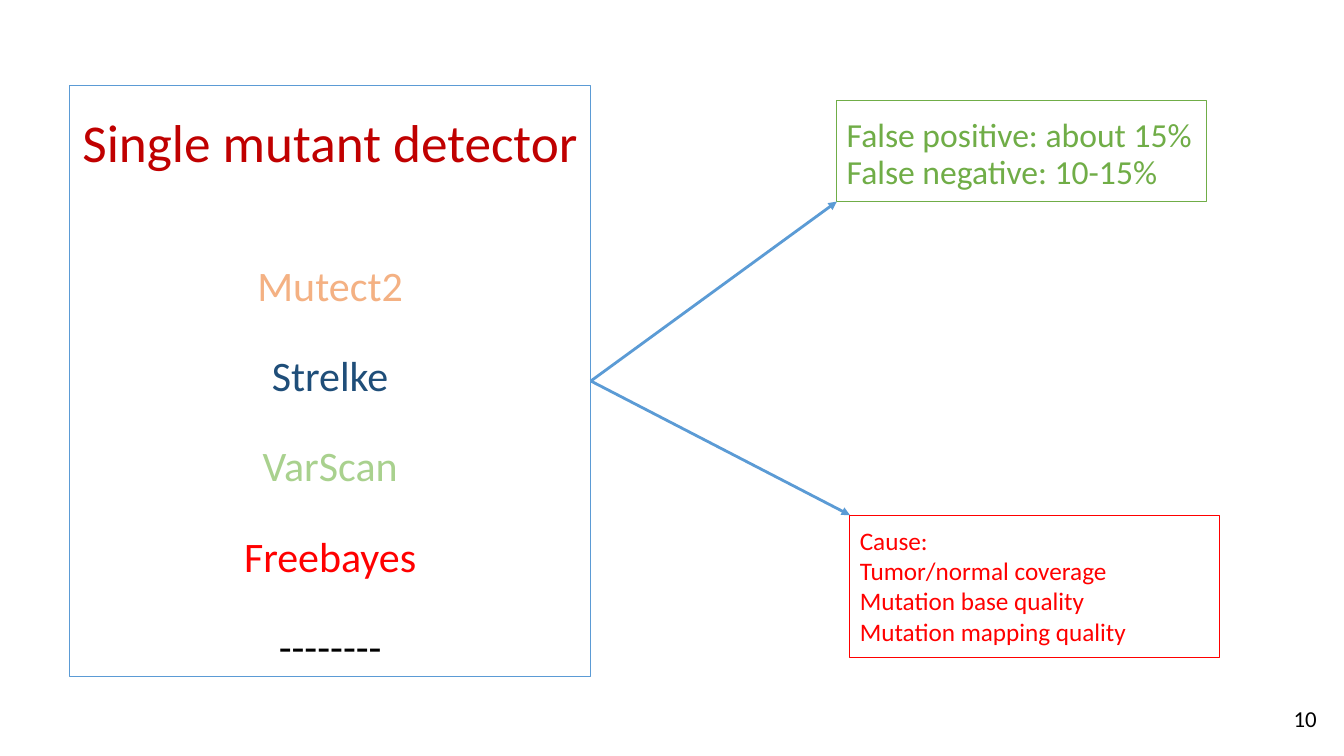
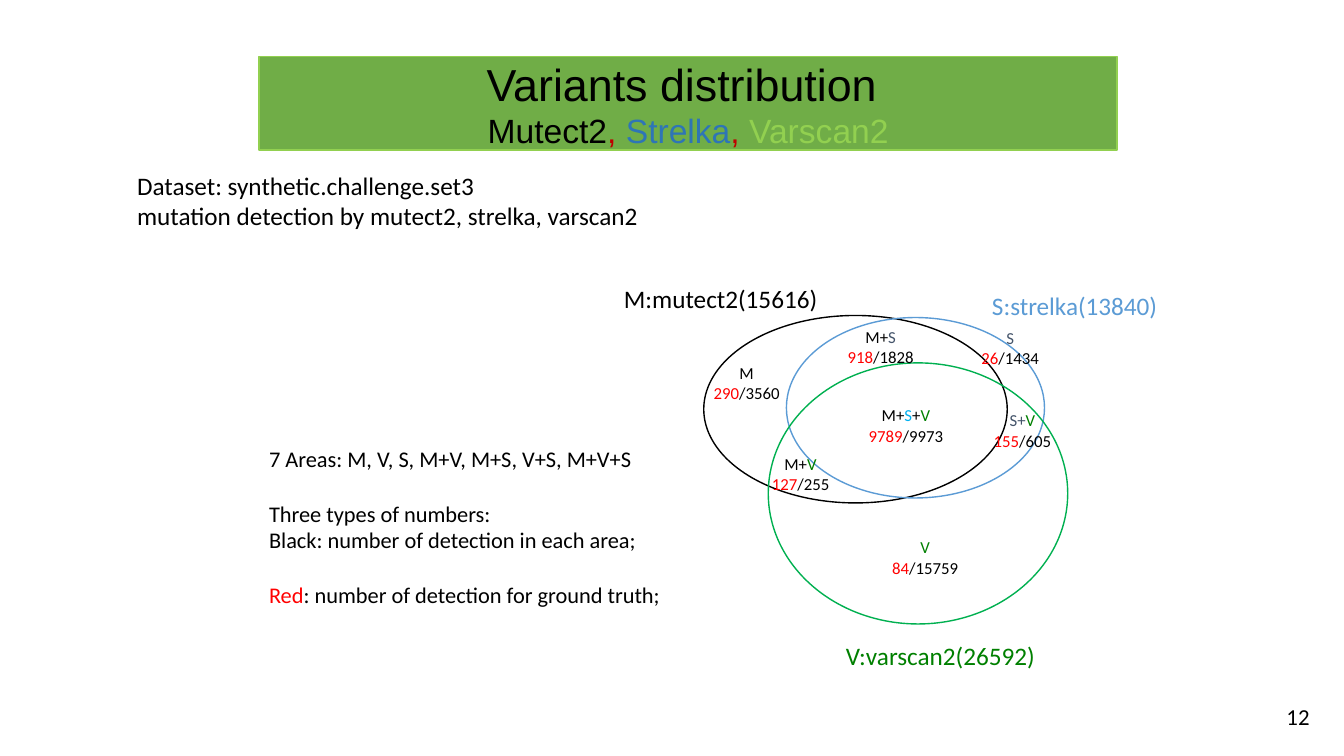
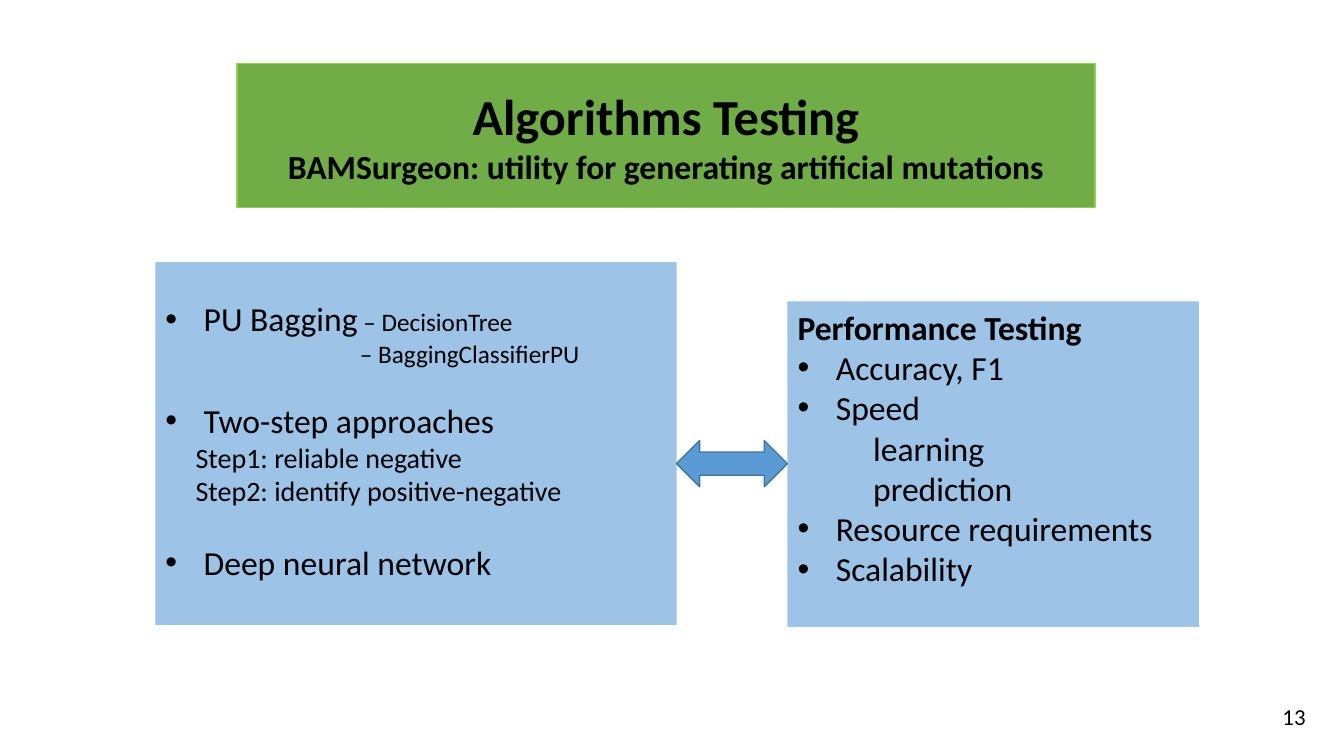
from dataclasses import dataclass
from typing import Optional, Sequence

from lxml.etree import SubElement
from pptx import Presentation
from pptx.dml.color import RGBColor
from pptx.enum.shapes import MSO_CONNECTOR, MSO_SHAPE
from pptx.enum.text import MSO_ANCHOR, MSO_AUTO_SIZE, PP_ALIGN
from pptx.oxml.ns import qn
from pptx.util import Inches, Pt

BLACK = RGBColor(0x00, 0x00, 0x00)
WHITE = RGBColor(0xFF, 0xFF, 0xFF)
RED = RGBColor(0xFF, 0x00, 0x00)
DARK_RED = RGBColor(0xC0, 0x00, 0x00)
BLUE = RGBColor(0x5B, 0x9B, 0xD5)
LIGHT_BLUE = RGBColor(0x9D, 0xC3, 0xE6)
MEDIUM_BLUE = RGBColor(0x2E, 0x75, 0xB6)
EDGE_BLUE = RGBColor(0x43, 0x73, 0x9E)
NAVY = RGBColor(0x1F, 0x4E, 0x79)
SKY = RGBColor(0x00, 0xB0, 0xF0)
SLATE = RGBColor(0x44, 0x54, 0x6A)
ORANGE = RGBColor(0xF4, 0xB1, 0x83)
GREEN = RGBColor(0x70, 0xAD, 0x47)
LIGHT_GREEN = RGBColor(0xA9, 0xD1, 0x8E)
LIME = RGBColor(0x92, 0xD0, 0x50)
EMERALD = RGBColor(0x00, 0xB0, 0x50)
DARK_GREEN = RGBColor(0x00, 0x80, 0x00)

CENTER = PP_ALIGN.CENTER
CONTENT_LAYOUT, TWO_CONTENT_LAYOUT = 1, 3
BULLET_INDENT = 0.38


@dataclass(frozen=True)
class Span:
    text: str
    size: float = 18
    color: RGBColor = BLACK
    bold: bool = False
    font: str = "Calibri"


@dataclass(frozen=True)
class Para:
    spans: Sequence[Span]
    align: PP_ALIGN = PP_ALIGN.LEFT
    before: float = 0
    spacing: float = 1
    indent: float = 0
    bullet: bool = False


@dataclass(frozen=True)
class Place:
    left: float
    top: float
    width: float
    height: float

    def lengths(self) -> tuple:
        return tuple(Inches(v) for v in (self.left, self.top, self.width, self.height))


@dataclass(frozen=True)
class Region:
    """A labelled area of the Venn diagram with its true and total counts."""
    place: Place
    sets: Sequence[tuple]
    true_count: str
    total: str


def line_of(text: str, size: float = 18, color: RGBColor = BLACK, **layout) -> Para:
    return Para([Span(text, size, color)], **layout)


def bullet(*spans: Span, before: float = 0) -> Para:
    return Para(spans, before=before, indent=BULLET_INDENT, bullet=True)


def write(shape, paras: Sequence[Para], anchor=MSO_ANCHOR.TOP, wrap: bool = True,
          margin_y: float = 0.05, margin_top: Optional[float] = None) -> None:
    frame = shape.text_frame
    frame.auto_size = MSO_AUTO_SIZE.NONE
    frame.word_wrap = wrap
    frame.vertical_anchor = anchor
    frame.margin_left = frame.margin_right = Inches(0.1)
    frame.margin_top = Inches(margin_y if margin_top is None else margin_top)
    frame.margin_bottom = Inches(margin_y)
    for index, para in enumerate(paras):
        paragraph = frame.add_paragraph() if index else frame.paragraphs[0]
        paragraph.alignment = para.align
        paragraph.line_spacing = para.spacing
        paragraph.space_before = Pt(para.before)
        paragraph.space_after = Pt(0)
        properties = paragraph._p.get_or_add_pPr()
        properties.set("marL", str(Inches(para.indent)))
        properties.set("indent", str(-Inches(para.indent) if para.bullet else 0))
        if para.bullet:
            SubElement(properties, qn("a:buFont")).set("typeface", "Arial")
            SubElement(properties, qn("a:buChar")).set("char", "•")
        else:
            SubElement(properties, qn("a:buNone"))
        for span in para.spans:
            run = paragraph.add_run()
            run.text = span.text
            run.font.name = span.font
            run.font.size = Pt(span.size)
            run.font.bold = span.bold
            run.font.color.rgb = span.color


def paint(shape, fill: Optional[RGBColor] = None, line: Optional[RGBColor] = None,
          weight: float = 1) -> None:
    shape.shadow.inherit = False
    if fill is None:
        shape.fill.background()
    else:
        shape.fill.solid()
        shape.fill.fore_color.rgb = fill
    if line is None:
        shape.line.fill.background()
    else:
        shape.line.color.rgb = line
        shape.line.width = Pt(weight)


def move(shape, place: Place) -> None:
    shape.left, shape.top, shape.width, shape.height = place.lengths()


def add_figure(page, kind: MSO_SHAPE, place: Place, **look):
    shape = page.shapes.add_shape(kind, *place.lengths())
    paint(shape, **look)
    return shape


def add_text(page, place: Place, paras: Sequence[Para], wrap: bool = True) -> None:
    write(page.shapes.add_textbox(*place.lengths()), paras, wrap=wrap)


def add_body(page, index: int, place: Place, paras: Sequence[Para],
             fill: Optional[RGBColor] = None, line: Optional[RGBColor] = None, **frame):
    body = page.placeholders[index]
    move(body, place)
    paint(body, fill, line, 0.75)
    write(body, paras, **frame)
    return body


def add_title_band(page, place: Place, paras: Sequence[Para]) -> None:
    title = page.shapes.title
    move(title, place)
    paint(title, GREEN, LIME)
    write(title, paras, MSO_ANCHOR.MIDDLE)


def add_page_number(page, number: int, left: float, top: float) -> None:
    add_text(page, Place(left, top, 0.53, 0.35), [line_of(str(number), 16.3, align=CENTER)])


def add_arrow(page, source, end_x: float, end_y: float) -> None:
    """Draw an arrow from the middle of the source's right side."""
    arrow = page.shapes.add_connector(MSO_CONNECTOR.STRAIGHT, 0, 0, Inches(end_x), Inches(end_y))
    arrow.begin_connect(source, 3)
    arrow.line.color.rgb = BLUE
    arrow.line.width = Pt(2)
    SubElement(arrow.line._get_or_add_ln(), qn("a:tailEnd")).set("type", "triangle")
    SubElement(arrow._element.spPr, qn("a:effectLst"))


def build_detector_page(deck) -> None:
    page = deck.slides.add_slide(deck.slide_layouts[CONTENT_LAYOUT])
    title = page.shapes.title
    move(title, Place(0.69, 1.04, 5.17, 0.8))
    write(title, [line_of("Single mutant detector", 38, DARK_RED, align=CENTER, spacing=0.9)],
          MSO_ANCHOR.MIDDLE)

    detectors = [("Mutect2", ORANGE), ("Strelke", NAVY), ("VarScan", LIGHT_GREEN),
                 ("Freebayes", RED), ("--------", BLACK)]
    detector_box = add_body(
        page, 1, Place(0.69, 0.85, 5.17, 5.86),
        [line_of(name, 30, color, align=CENTER, spacing=0.9, before=32)
         for name, color in detectors],
        line=BLUE, anchor=MSO_ANCHOR.BOTTOM)

    rates = add_figure(page, MSO_SHAPE.RECTANGLE, Place(8.3, 1, 3.67, 1),
                       fill=WHITE, line=GREEN, weight=0.75)
    write(rates, [line_of(text, 24, GREEN, spacing=0.9)
                  for text in ("False positive: about 15%", "False negative: 10-15%")],
          MSO_ANCHOR.BOTTOM, margin_y=0.1)

    causes = add_figure(page, MSO_SHAPE.RECTANGLE, Place(8.43, 5.11, 3.67, 1.41),
                        line=RED, weight=0.75)
    write(causes, [line_of(text, 18, RED)
                   for text in ("Cause:", "Tumor/normal coverage", "Mutation base quality",
                                "Mutation mapping quality")], margin_y=0.1)

    add_arrow(page, detector_box, 8.3, 2)
    add_arrow(page, detector_box, 8.43, 5.11)
    add_page_number(page, 10, 12.68, 6.94)


def build_distribution_page(deck) -> None:
    page = deck.slides.add_slide(deck.slide_layouts[CONTENT_LAYOUT])
    tools = [("Mutect2", BLACK), (", ", DARK_RED), ("Strelka", MEDIUM_BLUE),
             (", ", DARK_RED), ("Varscan2", LIME)]
    add_title_band(page, Place(2.57, 0.56, 8.51, 0.93), [
        Para([Span("Variants distribution ", 32, font="Arial")], CENTER),
        Para([Span(text, 24, color, font="Arial") for text, color in tools], CENTER)])
    add_body(page, 1, Place(1.26, 1.64, 6.15, 0.71), [
        line_of("Dataset: synthetic.challenge.set3"),
        line_of("mutation detection by mutect2, strelka, varscan2")])

    for place, color in ((Place(6.98, 3.13, 3.01, 1.86), BLACK),
                         (Place(7.8, 3.15, 2.56, 1.79), BLUE),
                         (Place(7.62, 3.6, 2.97, 2.59), EMERALD)):
        add_figure(page, MSO_SHAPE.OVAL, place, line=color)

    mutect, varscan = ("M", BLACK), ("V", DARK_GREEN)
    regions = [
        Region(Place(6.97, 3.55, 0.87, 0.5), [mutect], "290", "3560"),
        Region(Place(7.55, 4.45, 0.78, 0.5), [("M+", BLACK), varscan], "127", "255"),
        Region(Place(8.74, 5.28, 0.87, 0.5), [varscan], "84", "15759"),
        Region(Place(9.63, 3.2, 0.78, 0.5), [("S", SLATE)], "26", "1434"),
        Region(Place(8.3, 3.19, 0.87, 0.5), [("M+", BLACK), ("S", SLATE)], "918", "1828"),
        Region(Place(9.75, 4.02, 0.78, 0.5), [("S+", SLATE), varscan], "155", "605"),
        Region(Place(8.51, 3.97, 0.95, 0.5),
               [("M+", BLACK), ("S", SKY), ("+", BLACK), varscan], "9789", "9973"),
    ]
    for region in regions:
        counts = [Span(region.true_count, 12, RED), Span(f"/{region.total}", 12)]
        names = [Span(text, 12, color) for text, color in region.sets]
        add_text(page, region.place, [Para(names, CENTER), Para(counts, CENTER)], wrap=False)

    for text, color, place in (("M:mutect2(15616)", BLACK, Place(6.09, 2.76, 2.25, 0.4)),
                               ("S:strelka(13840)", BLUE, Place(9.74, 2.83, 2.05, 0.4)),
                               ("V:varscan2(26592)", DARK_GREEN, Place(8.29, 6.3, 2.32, 0.4))):
        add_text(page, place, [line_of(text, color=color)])

    add_text(page, Place(2.57, 4.37, 4.13, 1.72), [
        line_of("7 Areas: M, V, S, M+V, M+S, V+S, M+V+S", 16),
        line_of("Three types of numbers:", 16, before=19.5),
        line_of("Black: number of detection in each area;", 16),
        Para([Span("Red", 16, RED), Span(": number of detection for ground truth;", 16)],
             before=19.5)])
    add_page_number(page, 12, 12.61, 6.92)


def build_testing_page(deck) -> None:
    page = deck.slides.add_slide(deck.slide_layouts[TWO_CONTENT_LAYOUT])
    add_title_band(page, Place(2.35, 0.63, 8.51, 1.43), [
        Para([Span("Algorithms Testing", 36, bold=True)], CENTER),
        Para([Span("BAMSurgeon: utility for generating artificial mutations", 24, bold=True)],
             CENTER)])
    add_body(page, 1, Place(1.54, 2.6, 5.17, 3.6), [
        bullet(Span("PU Bagging", 24), Span(" – DecisionTree")),
        line_of("– BaggingClassifierPU", indent=1.93),
        bullet(Span("Two-step approaches", 24), before=22),
        line_of("Step1: reliable negative", 20, indent=0.3),
        line_of("Step2: identify positive-negative", 20, indent=0.3),
        bullet(Span("Deep neural network", 24), before=24.5),
    ], fill=LIGHT_BLUE, margin_top=0.36)
    add_figure(page, MSO_SHAPE.LEFT_RIGHT_ARROW, Place(6.71, 4.37, 1.1, 0.46),
               fill=BLUE, line=EDGE_BLUE)
    add_body(page, 2, Place(7.81, 2.99, 4.08, 3.23), [
        Para([Span("Performance Testing", 24, bold=True)]),
        bullet(Span("Accuracy, F1", 24)),
        bullet(Span("Speed", 24)),
        line_of("learning", 24, indent=0.75),
        line_of("prediction", 24, indent=0.75),
        bullet(Span("Resource requirements", 24)),
        bullet(Span("Scalability", 24)),
    ], fill=LIGHT_BLUE)
    add_page_number(page, 13, 12.57, 6.92)


def main() -> None:
    deck = Presentation()
    deck.slide_width, deck.slide_height = Inches(13.33), Inches(7.5)
    build_detector_page(deck)
    build_distribution_page(deck)
    build_testing_page(deck)
    deck.save("out.pptx")


if __name__ == "__main__":
    main()
